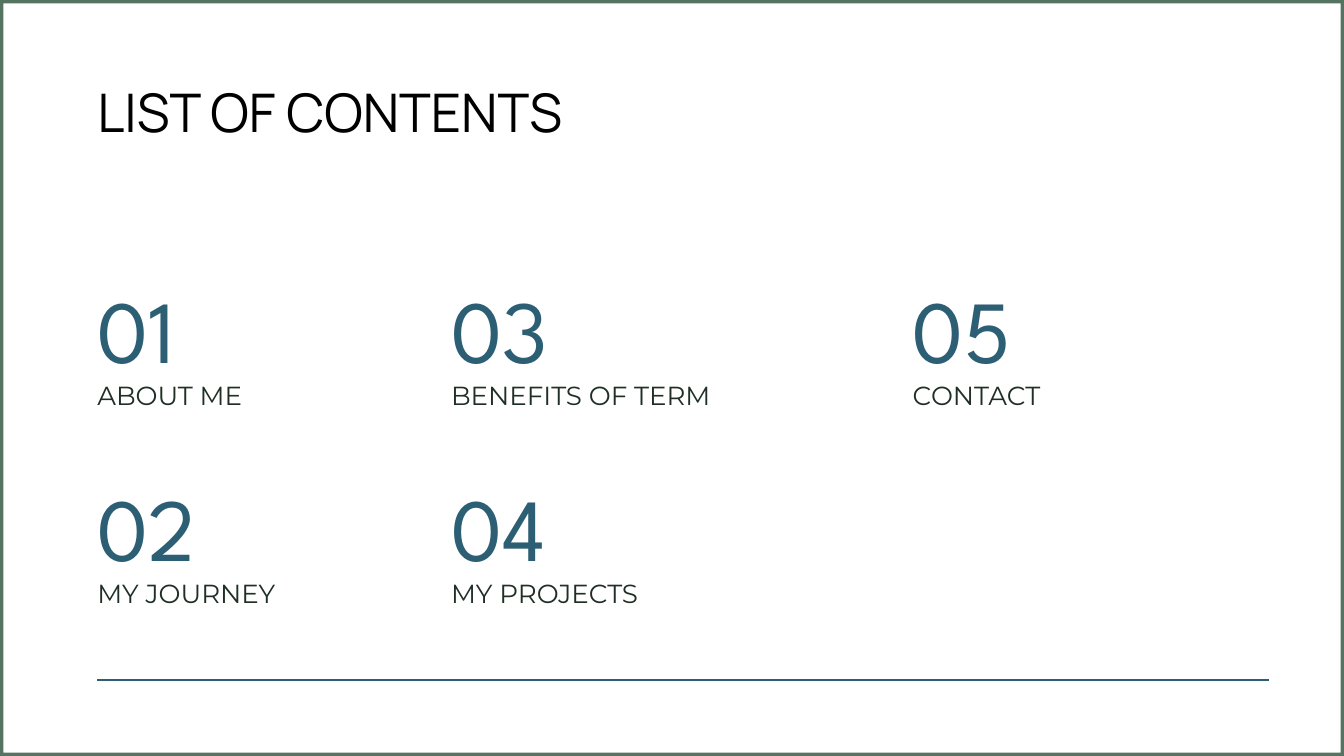
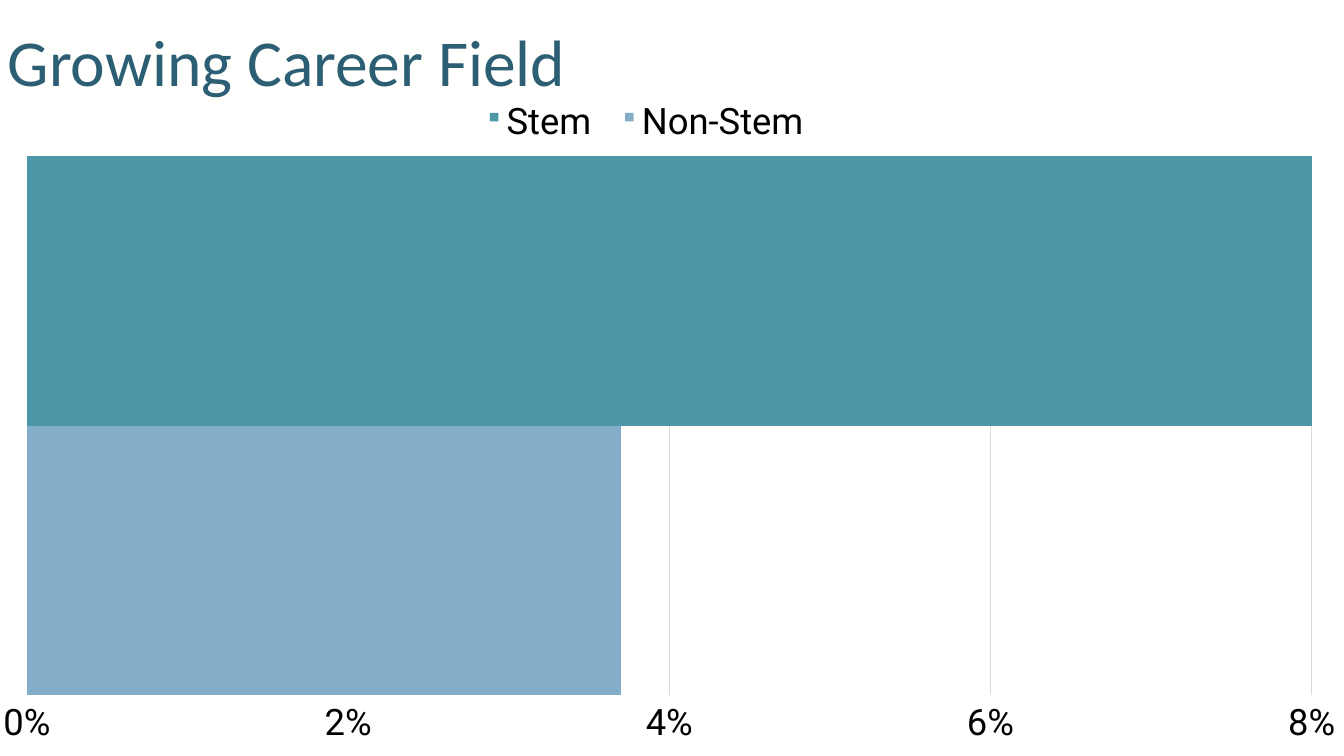
from lxml.etree import SubElement
from pptx import Presentation
from pptx.chart.data import CategoryChartData
from pptx.dml.color import RGBColor
from pptx.enum.chart import XL_CHART_TYPE, XL_TICK_LABEL_POSITION, XL_TICK_MARK
from pptx.enum.shapes import MSO_CONNECTOR, MSO_SHAPE
from pptx.oxml.ns import qn
from pptx.util import Cm, Pt

COLORS = {
    "black": "000000",
    "white": "FFFFFF",
    "chart background": "FFFFFE",
    "frame": "557361",
    "accent": "2C5E74",
    "label": "1F2F25",
    "stem": "4C98A8",
    "non-stem": "83ADC9",
    "grid": "D9D9D9",
}
SLIDE_WIDTH, SLIDE_HEIGHT = 50.8, 28.58
MARGIN = 3.68
FRAME_THICKNESS = 0.13

CONTENT_COLUMNS = (MARGIN, 17.05, 34.5)
CONTENT_ROWS = (10.4, 17.87)
NUMBER_HEIGHT = 3.95
CONTENTS = ("ABOUT ME", "MY JOURNEY", "BENEFITS OF TERM", "MY PROJECTS", "CONTACT")

CHART_TOP = 5.4
GROWTH = (("Stem", 0.08, "stem"), ("Non-Stem", 0.037, "non-stem"))
LEGEND_LEFTS = (18.52, 23.63)


def rgb(name):
    return RGBColor.from_string(COLORS[name])


def add_slide(presentation, background):
    slide = presentation.slides.add_slide(presentation.slide_layouts[6])
    slide.background.fill.solid()
    slide.background.fill.fore_color.rgb = rgb(background)
    return slide


def set_font(font, name, size, color):
    font.name = name
    font.size = Pt(size)
    font.color.rgb = rgb(color)


def add_text(slide, text, left, top, width, height, font, size, color, line_spacing):
    box = slide.shapes.add_textbox(Cm(left), Cm(top), Cm(width), Cm(height))
    frame = box.text_frame
    frame.word_wrap = True
    frame.margin_left = frame.margin_top = frame.margin_right = frame.margin_bottom = 0
    paragraph = frame.paragraphs[0]
    paragraph.text = text
    paragraph.line_spacing = Pt(line_spacing)
    set_font(paragraph.font, font, size, color)


def add_filled_shape(slide, preset, left, top, width, height, color, adjustment):
    shape = slide.shapes.add_shape(preset, Cm(left), Cm(top), Cm(width), Cm(height))
    shape.adjustments[0] = adjustment
    shape.shadow.inherit = False
    shape.fill.solid()
    shape.fill.fore_color.rgb = rgb(color)
    shape.line.fill.background()


def add_rule(slide, left, right, top):
    rule = slide.shapes.add_connector(MSO_CONNECTOR.STRAIGHT, Cm(left), Cm(top), Cm(right), Cm(top))
    rule.line.color.rgb = rgb("accent")
    rule.line.width = Pt(1.5)
    SubElement(rule._element.spPr, qn("a:effectLst"))


def add_content_entry(slide, index, label):
    column, row = divmod(index, len(CONTENT_ROWS))
    left, top = CONTENT_COLUMNS[column], CONTENT_ROWS[row]
    add_text(slide, f"{index + 1:02}", left, top, 7.5, NUMBER_HEIGHT,
             "League Spartan", 95, "accent", 114)
    add_text(slide, label, left, top + NUMBER_HEIGHT, 11, 1.15,
             "Montserrat", 28, "label", 33.6)


def add_legend_entry(slide, left, name, color):
    add_filled_shape(slide, MSO_SHAPE.ROUNDED_RECTANGLE, left, 4.27, 0.32, 0.32, color, 0.08)
    add_text(slide, name, left + 0.63, 3.45, 6.83, 1.78, "Roboto", 39, "black", 54.6)


def set_plot_layout(chart, left, top, width, height):
    plot_area = chart._chartSpace.chart.plotArea
    for existing in plot_area.findall(qn("c:layout")):
        plot_area.remove(existing)
    layout = plot_area.makeelement(qn("c:layout"))
    manual = SubElement(layout, qn("c:manualLayout"))
    chart_height = SLIDE_HEIGHT - CHART_TOP
    for tag, value in (("layoutTarget", "inner"), ("xMode", "edge"), ("yMode", "edge"),
                       ("x", left / SLIDE_WIDTH), ("y", (top - CHART_TOP) / chart_height),
                       ("w", width / SLIDE_WIDTH), ("h", height / chart_height)):
        SubElement(manual, qn(f"c:{tag}")).set("val", str(value))
    plot_area.insert(0, layout)


def style_axes(chart):
    category_axis = chart.category_axis
    category_axis.reverse_order = True
    category_axis.visible = False
    value_axis = chart.value_axis
    value_axis.minimum_scale, value_axis.maximum_scale = 0, 0.08
    value_axis.major_unit = 0.02
    value_axis.major_tick_mark = XL_TICK_MARK.OUTSIDE
    value_axis.tick_label_position = XL_TICK_LABEL_POSITION.HIGH
    value_axis.tick_labels.number_format = "0%"
    value_axis.tick_labels.number_format_is_linked = False
    value_axis.format.line.fill.background()
    gridline = value_axis.major_gridlines.format.line
    gridline.color.rgb = rgb("grid")
    gridline.width = Pt(0.75)


def add_growth_chart(slide):
    data = CategoryChartData(number_format="0.0%")
    data.categories = ["Growth"]
    for name, value, _ in GROWTH:
        data.add_series(name, [value])
    chart = slide.shapes.add_chart(
        XL_CHART_TYPE.BAR_CLUSTERED, 0, Cm(CHART_TOP),
        Cm(SLIDE_WIDTH), Cm(SLIDE_HEIGHT - CHART_TOP), data).chart
    chart.has_title = False
    chart.has_legend = False
    set_font(chart.font, "Roboto", 39, "black")
    style_axes(chart)
    set_plot_layout(chart, 1.02, 5.89, 48.56, 20.4)

    plot = chart.plots[0]
    plot.gap_width = plot.overlap = 0
    plot.vary_by_categories = False
    for series, (_, _, color) in zip(plot.series, GROWTH):
        series.format.fill.solid()
        series.format.fill.fore_color.rgb = rgb(color)


def build_contents_slide(presentation):
    slide = add_slide(presentation, "white")
    add_filled_shape(slide, MSO_SHAPE.FRAME, 0, 0, SLIDE_WIDTH, SLIDE_HEIGHT,
                     "frame", FRAME_THICKNESS / SLIDE_HEIGHT)
    add_rule(slide, MARGIN, 47.95, 25.71)
    add_text(slide, "LIST OF CONTENTS", MARGIN, 3.28, 30.96, 2.36,
             "Manrope", 57, "black", 60.4)
    for index, label in enumerate(CONTENTS):
        add_content_entry(slide, index, label)


def build_growth_slide(presentation):
    slide = add_slide(presentation, "chart background")
    add_text(slide, "Growing Career Field", 0.3, 0.28, 27.5, 3.33,
             "Calibri", 70.2, "accent", 98.3)
    for left, (name, _, color) in zip(LEGEND_LEFTS, GROWTH):
        add_legend_entry(slide, left, name, color)
    add_growth_chart(slide)


def main():
    presentation = Presentation()
    presentation.slide_width = Cm(SLIDE_WIDTH)
    presentation.slide_height = Cm(SLIDE_HEIGHT)
    build_contents_slide(presentation)
    build_growth_slide(presentation)
    presentation.save("out.pptx")


if __name__ == "__main__":
    main()
